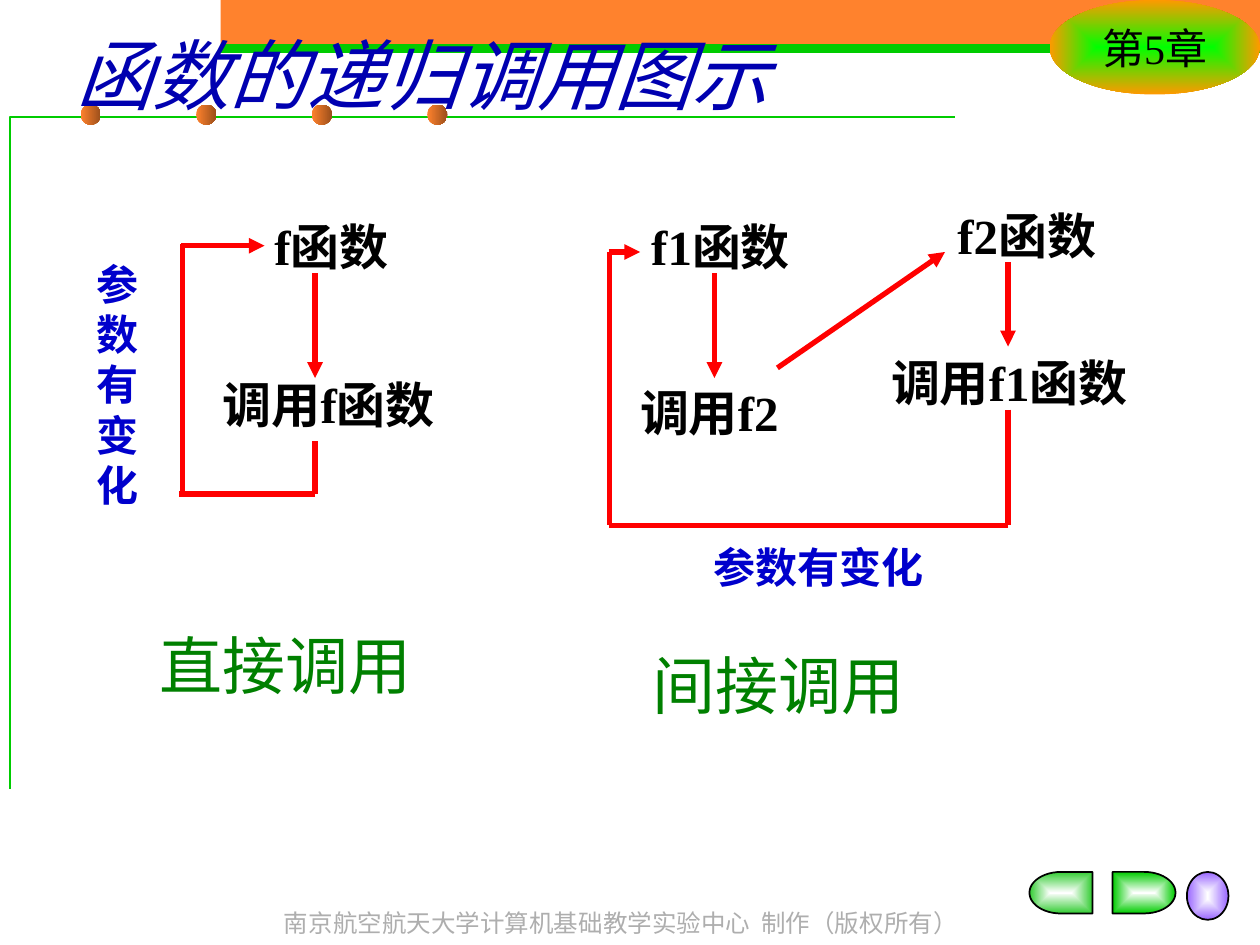
"""Build the slide on direct and indirect recursive function calls."""
from lxml import etree
from pptx import Presentation
from pptx.dml.color import RGBColor
from pptx.enum import shapes, text
from pptx.oxml import ns
from pptx.util import Inches, Pt

COLORS = {"orange": "FF822D", "rust": "9B4F1B", "green": "00CC00", "lime": "00FF00",
          "amber": "FF9900", "white": "FFFFFF", "leaf": "33CC33", "violet": "9966FF",
          "black": "000000", "grey": "AEAEAE", "navy": "0000B0", "red": "FF0000",
          "blue": "0000CC", "forest": "008000"}
RGB = {name: RGBColor.from_string(value) for name, value in COLORS.items()}
SHAPE = shapes.MSO_SHAPE
LEFT, CENTER = text.PP_ALIGN.LEFT, text.PP_ALIGN.CENTER

prs = Presentation()
prs.slide_width, prs.slide_height = Inches(10), Inches(7.5)
slide = prs.slides.add_slide(prs.slide_layouts[6])


def add_preset(kind, box, fills, radial=False, outlined=False):
    shape = slide.shapes.add_shape(kind, *map(Inches, box))
    shape.shadow.inherit = False
    if len(fills) == 1:
        shape.fill.solid()
        shape.fill.fore_color.rgb = RGB[fills[0]]
    else:
        shape.fill.gradient()
        shape.fill.gradient_angle = 0
        for stop, color in zip(shape.fill.gradient_stops, fills):
            stop.color.rgb = RGB[color]
    if radial:
        linear = shape._element.spPr.find(ns.qn("a:gradFill")).find(ns.qn("a:lin"))
        center = etree.Element(ns.qn("a:path"), {"path": "shape"})
        etree.SubElement(center, ns.qn("a:fillToRect"), dict.fromkeys("ltrb", "50000"))
        linear.getparent().replace(linear, center)
    if outlined:
        shape.line.color.rgb = RGB["black"]
        shape.line.width = Pt(1)
    else:
        shape.line.fill.background()
    return shape


def write(shape, words, size, color, bold=None, align=LEFT, font="Times New Roman"):
    frame = shape.text_frame
    frame.word_wrap = True
    paragraph = frame.paragraphs[0]
    paragraph.text = words
    paragraph.alignment = align
    paragraph.font.name = font
    paragraph.font.size = Pt(size)
    paragraph.font.bold = bold
    paragraph.font.color.rgb = RGB[color]
    return frame


add_preset(SHAPE.RECTANGLE, (1.75, 0, 8.25, 0.35), ["orange"])
add_preset(SHAPE.RECTANGLE, (1.75, 0.35, 8.25, 0.07), ["green"])

builder = slide.shapes.build_freeform(Inches(0.08), Inches(6.26), scale=1.0)
builder.add_line_segments([(Inches(0.08), Inches(0.93)), (Inches(7.58), Inches(0.93))], close=False)
corner = builder.convert_to_shape()
corner.shadow.inherit = False
corner.fill.background()
corner.line.color.rgb = RGB["green"]
corner.line.width = Pt(0.75)

for i in range(4):
    add_preset(SHAPE.OVAL, (0.64 + i * 0.917, 0.83, 0.16, 0.16), ["orange", "rust"])

chapter = add_preset(SHAPE.OVAL, (8.33, 0, 1.67, 0.75), ["lime", "amber"], radial=True)
chapter_frame = write(chapter, "第5章", 24, "black", align=CENTER)
chapter_frame.word_wrap = False
chapter_frame.vertical_anchor = text.MSO_ANCHOR.MIDDLE

add_preset(SHAPE.FLOWCHART_DELAY, (8.83, 6.92, 0.5, 0.33), ["white", "green"], True, True)
back = add_preset(SHAPE.FLOWCHART_DELAY, (8.17, 6.92, 0.5, 0.33), ["white", "leaf"], True, True)
back.rotation = 180
add_preset(SHAPE.OVAL, (9.42, 6.92, 0.33, 0.38), ["white", "violet"], True, True)

title = slide.shapes.add_textbox(Inches(0.5), Inches(0.17), Inches(8.5), Inches(0.83))
title_frame = write(title, "函数的递归调用图示", 44, "navy", font="Roboto")
title_frame.vertical_anchor = text.MSO_ANCHOR.MIDDLE
title_frame.paragraphs[0].font.italic = True

labels = [
    ((1.92, 7.16, 6.02, 0.33), "南京航空航天大学计算机基础教学实验中心  制作（版权所有）", 14, "grey", None, CENTER),
    ((2.08, 1.67, 1.92, 0.57), "f函数", 28, "black", True, LEFT),
    ((1.67, 2.92, 1.92, 0.57), "调用f函数", 28, "black", True, LEFT),
    ((5.07, 1.67, 1.92, 0.57), "f1函数", 28, "black", True, LEFT),
    ((4.92, 2.99, 1.42, 0.57), "调用f2", 28, "black", True, CENTER),
    ((7.5, 1.58, 1.83, 0.57), "f2函数", 28, "black", True, LEFT),
    ((6.8, 2.75, 2.42, 0.57), "调用f1函数", 28, "black", True, CENTER),
    ((1.17, 4.92, 2.33, 0.7), "直接调用", 36, "forest", None, LEFT),
    ((5.08, 5.08, 2.33, 0.7), "间接调用", 36, "forest", None, LEFT),
    ((0.67, 2, 0.58, 2.1), "参数有变化", 24, "blue", True, LEFT),
    ((5.33, 4.25, 2.33, 0.5), "参数有变化", 24, "blue", True, CENTER),
]
for box, *style in labels:
    write(slide.shapes.add_textbox(*map(Inches, box)), *style)

calls = [
    (2.5, 2.17, 2.5, 3, True),
    (2.5, 3.5, 2.5, 3.92, False),
    (2.5, 3.92, 1.42, 3.92, False),
    (1.45, 1.94, 1.45, 3.92, False),
    (1.44, 1.95, 2.1, 1.95, True),
    (5.67, 2.17, 5.67, 3, True),
    (6.17, 2.92, 7.5, 2, True),
    (8, 2.08, 8, 2.75, True),
    (8, 3.25, 8, 4.17, False),
    (8, 4.17, 4.83, 4.17, False),
    (4.84, 2, 4.84, 4.17, False),
    (4.83, 2, 5.08, 2, True),
]
for *ends, has_arrow in calls:
    call = slide.shapes.add_connector(shapes.MSO_CONNECTOR.STRAIGHT, *map(Inches, ends))
    call.line.color.rgb = RGB["red"]
    call.line.width = Pt(3)
    if has_arrow:
        etree.SubElement(call.line._get_or_add_ln(), ns.qn("a:tailEnd"), type="triangle")
    etree.SubElement(call._element.spPr, ns.qn("a:effectLst"))

prs.save("out.pptx")
